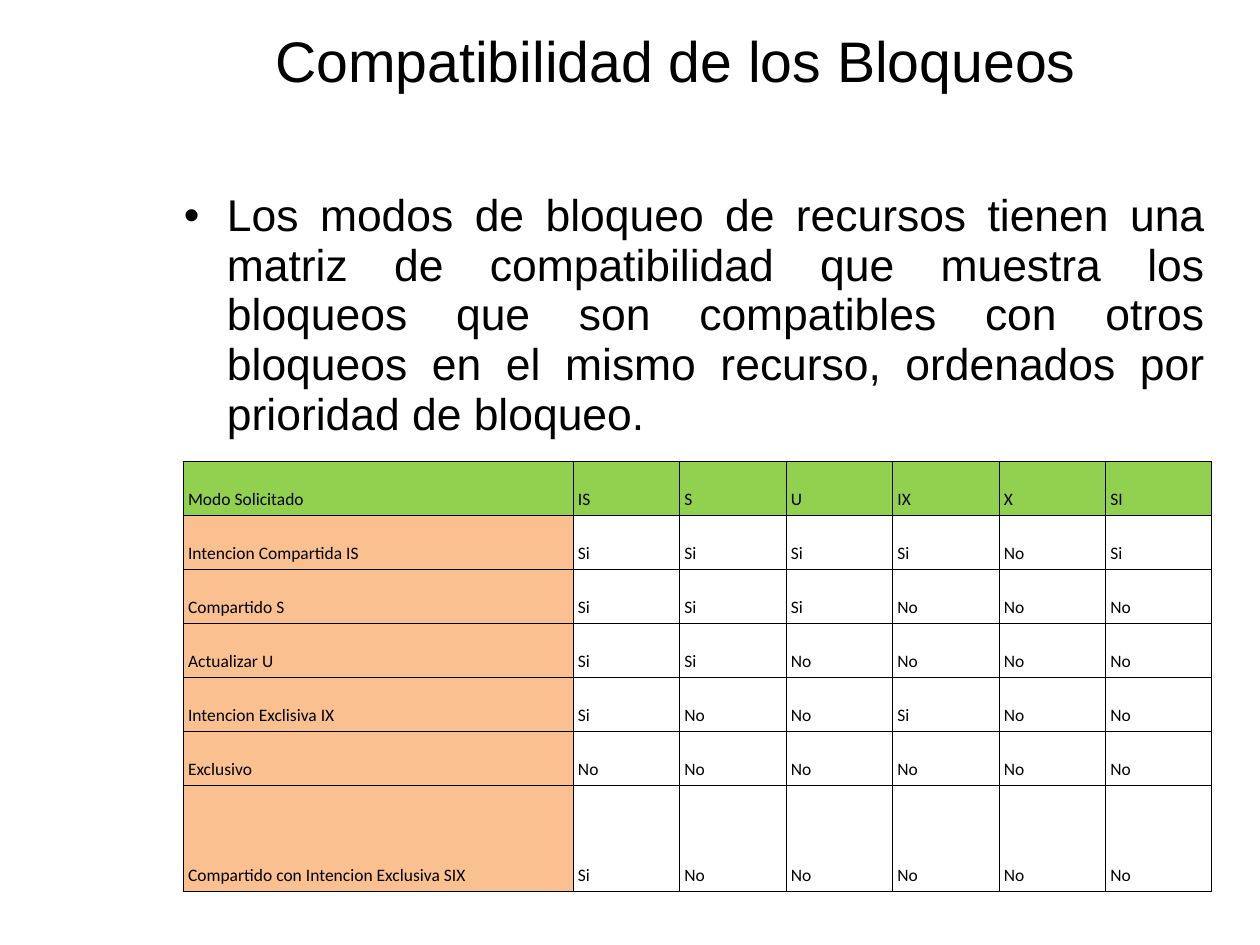
from lxml.etree import SubElement
from pptx import Presentation
from pptx.dml.color import RGBColor
from pptx.enum.text import MSO_ANCHOR as ANCHOR, MSO_AUTO_SIZE as AUTO, PP_ALIGN as ALIGN
from pptx.oxml.ns import qn
from pptx.util import Pt

PX = 8000
BLACK, WHITE, GREEN, ORANGE = "000000", "FFFFFF", "92D050", "FAC090"
TITLE = "Compatibilidad de los Bloqueos"
INTRO = ("Los modos de bloqueo de recursos tienen una matriz de compatibilidad "
         "que muestra los bloqueos que son compatibles con otros bloqueos en el "
         "mismo recurso, ordenados por prioridad de bloqueo.")
MODES = ["Modo Solicitado", "IS", "S", "U", "IX", "X", "SI"]
LOCKS = [
    ("Intencion Compartida IS", "Si Si Si Si No Si"),
    ("Compartido S", "Si Si Si No No No"),
    ("Actualizar U", "Si Si No No No No"),
    ("Intencion Exclisiva IX", "Si No No Si No No"),
    ("Exclusivo", "No No No No No No"),
    ("Compartido con Intencion Exclusiva SIX", "Si No No No No No"),
]


def px(n):
    """Turn px into EMU."""
    return int(n * PX)


def color(value):
    """Turn a hex string into a colour."""
    return RGBColor.from_string(value)


def assign(obj, **values):
    """Set each given attribute on an object."""
    for name, value in values.items():
        setattr(obj, name, value)


def format_text(p, text, size, font, **values):
    """Write one run and format its paragraph."""
    assign(p, space_before=Pt(0), **values)
    r = p.add_run()
    r.text = text
    assign(r.font, size=Pt(size), name=font)
    r.font.color.rgb = color(BLACK)


def set_margins(obj, x, y):
    """Set the side and the top and bottom margins."""
    assign(obj, margin_left=px(x), margin_right=px(x), margin_top=px(y), margin_bottom=px(y))


def place(sp, left, top, width, height, anchor, margins):
    """Move a placeholder and return its first paragraph."""
    assign(sp, left=px(left), top=px(top), width=px(width), height=px(height))
    tf = sp.text_frame
    assign(tf, word_wrap=True, auto_size=AUTO.NONE, vertical_anchor=anchor)
    set_margins(tf, *margins)
    return tf.paragraphs[0]


def add_bullet(p, indent):
    """Give a paragraph a round bullet with a hanging indent."""
    pPr = p._p.get_or_add_pPr()
    pPr.set("marL", str(px(indent)))
    pPr.set("indent", str(-px(indent)))
    SubElement(SubElement(pPr, qn("a:buClr")), qn("a:srgbClr"), val=BLACK)
    SubElement(pPr, qn("a:buFont"), typeface="Arial")
    SubElement(pPr, qn("a:buChar"), char="•")


def add_borders(cell):
    """Draw a thin line on the four sides of a cell."""
    tcPr = cell._tc.get_or_add_tcPr()
    for side in ("lnL", "lnR", "lnT", "lnB"):
        ln = SubElement(tcPr, qn(f"a:{side}"), w=str(Pt(0.45)))
        SubElement(SubElement(ln, qn("a:solidFill")), qn("a:srgbClr"), val=BLACK)


def fill_cell(cell, text, fill):
    """Write, border and fill one cell."""
    cell.vertical_anchor = ANCHOR.BOTTOM
    set_margins(cell, 5, 5)
    add_borders(cell)
    cell.fill.solid()
    cell.fill.fore_color.rgb = color(fill)
    format_text(cell.text_frame.paragraphs[0], text, 11, "Calibri", line_spacing=1.15)


def add_matrix(s, left, top, width, label_width, row_height, last_height):
    """Add the lock compatibility table."""
    rows = [MODES] + [[lock, *answers.split()] for lock, answers in LOCKS]
    heights = [row_height] * len(LOCKS) + [last_height]
    widths = [label_width] + [(width - label_width) / (len(MODES) - 1)] * (len(MODES) - 1)
    frame = s.shapes.add_table(len(rows), len(MODES), px(left), px(top), px(width), px(sum(heights)))
    table = frame.table
    assign(table, first_row=False, horz_banding=False)
    for column, w in zip(table.columns, widths):
        column.width = px(w)
    for i, (row, h) in enumerate(zip(table.rows, heights)):
        row.height = px(h)
        for j, cell in enumerate(row.cells):
            fill_cell(cell, rows[i][j], GREEN if i == 0 else ORANGE if j == 0 else WHITE)


def main():
    """Build the slide and save it."""
    prs = Presentation()
    assign(prs, slide_width=px(1260), slide_height=px(945))
    s = prs.slides.add_slide(prs.slide_layouts[1])
    title, body = s.placeholders
    p = place(title, 97, -6, 1157, 97, ANCHOR.MIDDLE, (0, 0))
    format_text(p, TITLE, 36, "Arial", alignment=ALIGN.CENTER, line_spacing=1.5)
    p = place(body, 173, 186, 1042, 507, ANCHOR.TOP, (11, 6))
    add_bullet(p, 43)
    format_text(p, INTRO, 28, "Arial", alignment=ALIGN.JUSTIFY, line_spacing=0.93)
    add_matrix(s, 183, 461, 1029, 390, 54, 106)
    prs.save("out.pptx")


if __name__ == "__main__":
    main()
